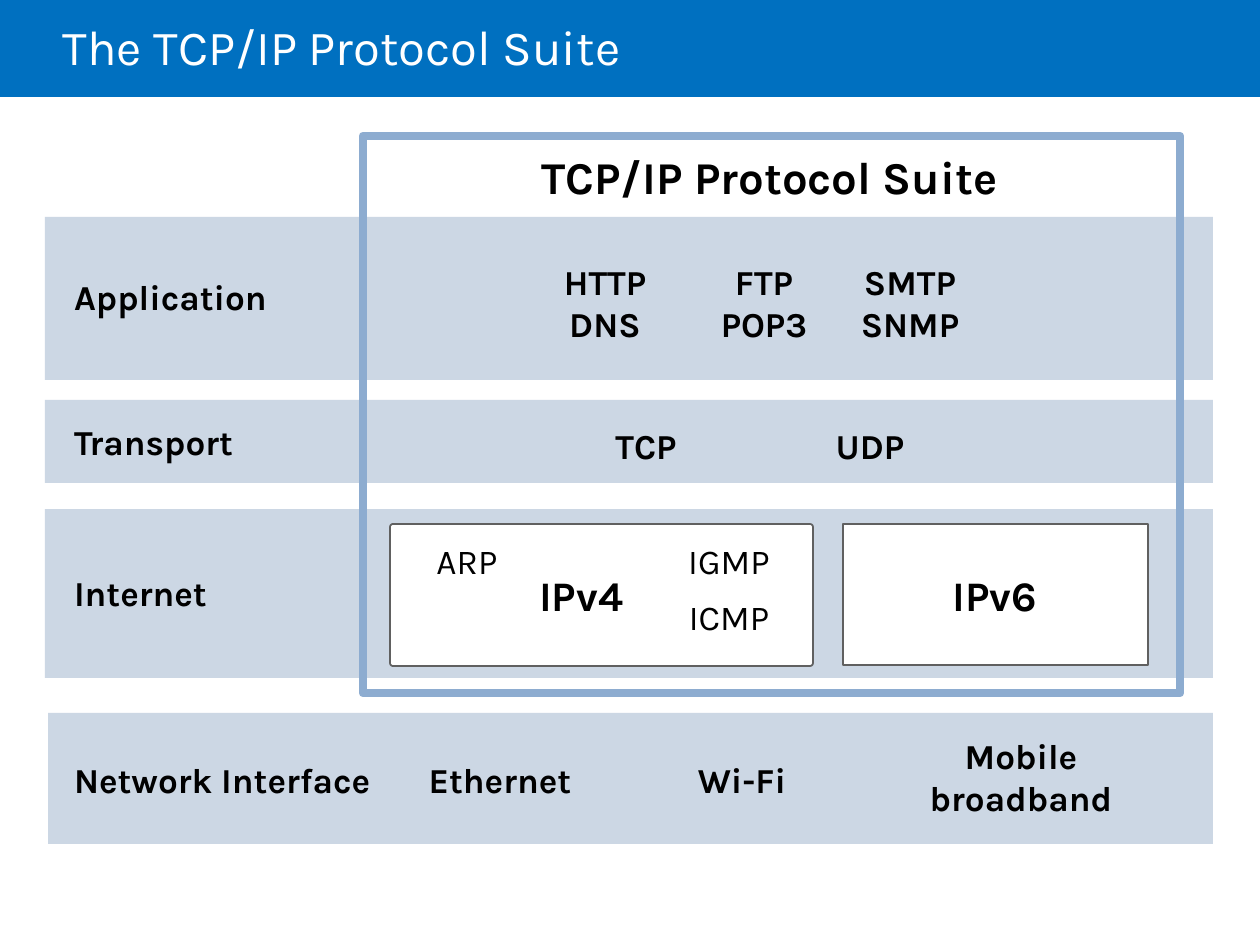
import pptx
import pptx.util
import pptx.dml.color
import pptx.enum.shapes
import pptx.enum.text

PX = 914400 / 126
KIND = pptx.enum.shapes.MSO_SHAPE
ALIGN = pptx.enum.text.PP_ALIGN
BLUE, BAND, EDGE, FRAME = "0070C0", "CCD7E4", "606060", "8DACD0"
WHITE, BLACK = "FFFFFF", "000000"

TITLE = "The TCP/IP Protocol Suite"
HEAD = "TCP/IP Protocol Suite"
RIGHT = 1213
LAYERS = [
    {"name": "Application", "box": (45, 217, 163), "mid": 297,
     "items": [("HTTP\nDNS", 605, 302), ("FTP\nPOP3", 764, 302),
               ("SMTP\nSNMP", 910, 302)]},
    {"name": "Transport", "box": (45, 400, 83), "mid": 442,
     "items": [("TCP", 646, 445), ("UDP", 870, 445)]},
    {"name": "Internet", "box": (45, 509, 169), "mid": 593, "items": []},
    {"name": "Network Interface", "box": (48, 713, 131), "mid": 779,
     "items": [("Ethernet", 500, 779), ("Wi-Fi", 742, 779),
               ("Mobile\nbroadband", 1021, 776)]},
]
CARDS = [
    ("IPv6", KIND.RECTANGLE, (843, 524, 305, 141), 995),
    ("IPv4", KIND.ROUNDED_RECTANGLE, (390, 524, 423, 142), 581),
]
HELPERS = [("ARP", 467, 561), ("IGMP", 729, 561), ("ICMP", 729, 617)]

deck = pptx.Presentation()
deck.slide_width = pptx.util.Inches(10)
deck.slide_height = pptx.util.Inches(7.5)
slide = deck.slides.add_slide(deck.slide_layouts[6])


def emu(*spots):
    return [round(v * PX) for v in spots]


def color(code):
    return pptx.dml.color.RGBColor.from_string(code)


def block(kind, box, fill=None, line=None, width=1, curve=0):
    shape = slide.shapes.add_shape(kind, *emu(*box))
    shape.shadow.inherit = False
    if kind == KIND.ROUNDED_RECTANGLE:
        shape.adjustments[0] = curve
    if fill:
        shape.fill.solid()
        shape.fill.fore_color.rgb = color(fill)
    else:
        shape.fill.background()
    if line:
        shape.line.color.rgb = color(line)
        shape.line.width = pptx.util.Pt(width)
    else:
        shape.line.fill.background()


def label(text, box, size=20, bold=True, ink=BLACK, align=ALIGN.CENTER, pitch=None):
    frame = slide.shapes.add_textbox(*emu(*box)).text_frame
    frame.word_wrap = True
    frame.vertical_anchor = pptx.enum.text.MSO_ANCHOR.MIDDLE
    frame.margin_left = frame.margin_right = 0
    frame.margin_top = frame.margin_bottom = 0
    frame.text = text
    for para in frame.paragraphs:
        para.alignment = align
        para.line_spacing = pitch
        para.font.name = "Karla"
        para.font.size = pptx.util.Pt(size)
        para.font.bold = bold
        para.font.color.rgb = color(ink)


def center(text, x, y, width=220, height=96, **style):
    label(text, (x - width / 2, y - height / 2, width, height), **style)


block(KIND.RECTANGLE, (0, 0, 1260, 97), BLUE)
label(TITLE, (63, 0, 1071, 102), 28, False, WHITE, ALIGN.LEFT, 0.85)

for layer in LAYERS:
    left, top, height = layer["box"]
    block(KIND.RECTANGLE, (left, top, RIGHT - left, height), BAND)
    label(layer["name"], (74, layer["mid"] - 30, 320, 60), align=ALIGN.LEFT)
    for text, x, y in layer["items"]:
        center(text, x, y)

center(HEAD, 770, 176, 630, 56, size=26)

for text, kind, box, x in CARDS:
    block(kind, box, WHITE, EDGE, curve=0.02)
    center(text, x, box[1] + box[3] / 2, 120, 60, size=24)

for text, x, y in HELPERS:
    center(text, x, y, 114, 38, bold=False)

block(KIND.ROUNDED_RECTANGLE, (363, 136, 817, 557), line=FRAME, width=5)

deck.save("out.pptx")
